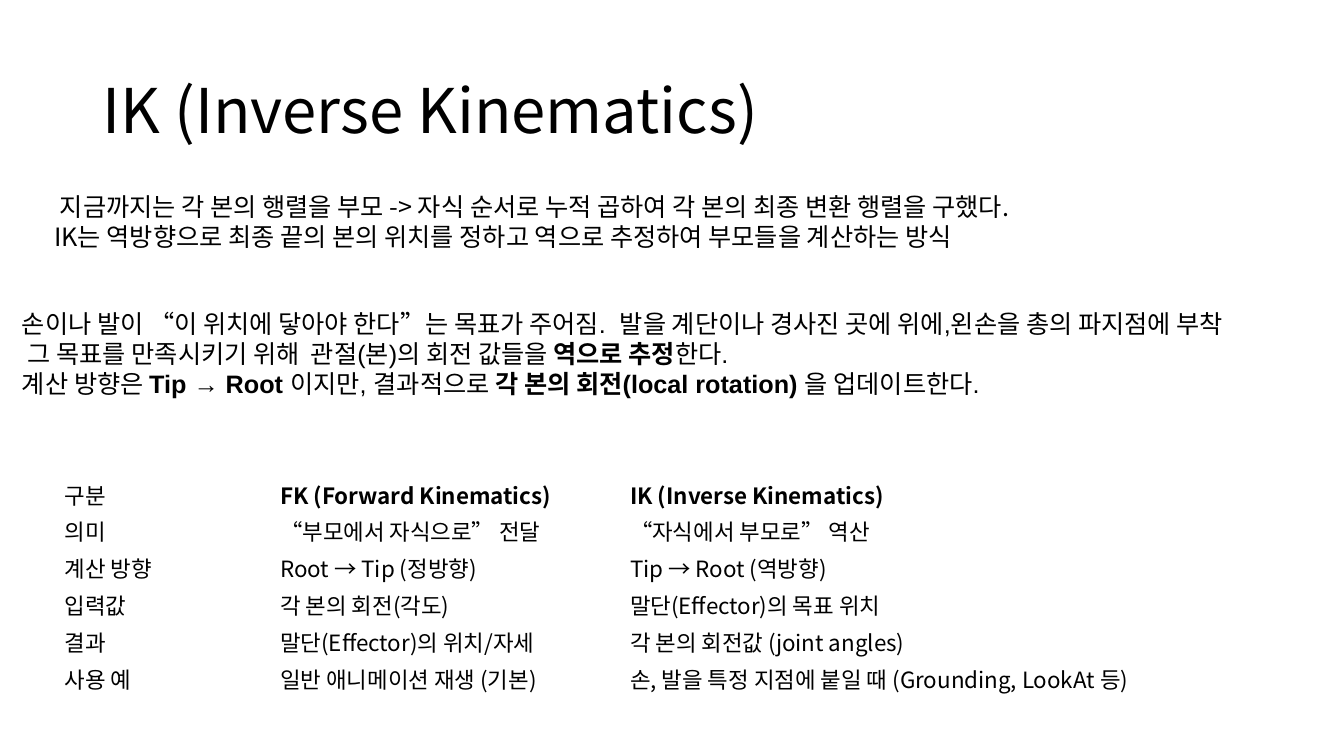
"""Build the slide that compares forward and inverse kinematics."""
from dataclasses import dataclass

from lxml.etree import SubElement
from pptx import Presentation
from pptx.dml.color import RGBColor
from pptx.enum.text import MSO_ANCHOR, MSO_AUTO_SIZE, PP_ALIGN
from pptx.oxml.ns import qn
from pptx.slide import Slide
from pptx.text.text import _Run
from pptx.util import Inches, Pt


@dataclass(frozen=True)
class Theme:
    ink: RGBColor = RGBColor(0, 0, 0)
    sans: str = "Noto Sans CJK KR"
    latin: str = "Arial"
    title: int = 44
    body: int = 18
    cell: int = 16


@dataclass(frozen=True)
class Piece:
    text: str
    bold: bool = False


@dataclass(frozen=True)
class Note:
    left: float
    top: float
    width: float
    height: float
    face: str
    wrap: bool
    anchor: MSO_ANCHOR
    lines: tuple[tuple[Piece, ...], ...]


THEME = Theme()

NOTES = (
    Note(0.44, 1.85, 10.97, 0.71, THEME.sans, False, MSO_ANCHOR.TOP, (
        (Piece(" 지금까지는 각 본의 행렬을 부모 -> 자식 순서로 누적 곱하여 각 본의 최종 변환 행렬을 구했다."),),
        (Piece("IK는 역방향으로 최종 끝의 본의 위치를 정하고 역으로 추정하여 부모들을 계산하는 방식"),),
    )),
    Note(0.12, 3, 13.1, 1.01, THEME.latin, True, MSO_ANCHOR.MIDDLE, (
        (Piece("손이나 발이 “이 위치에 닿아야 한다”는 목표가 주어짐.  발을 계단이나 경사진 곳에 위에,왼손을 총의 파지점에 부착"),),
        (Piece(" 그 목표를 만족시키기 위해  관절(본)의 회전 값들을 "), Piece("역으로 추정", True), Piece("한다.")),
        (Piece("계산 방향은 "), Piece("Tip → Root", True), Piece(" 이지만, 결과적으로 "),
         Piece("각 본의 회전(local rotation) ", True), Piece("을 업데이트한다.")),
    )),
)

WIDTHS = (2.14, 3.47, 6.26)
ROWS = (
    ("구분", "FK (Forward Kinematics)", "IK (Inverse Kinematics)"),
    ("의미", "“부모에서 자식으로” 전달", "“자식에서 부모로” 역산"),
    ("계산 방향", "Root → Tip (정방향)", "Tip → Root (역방향)"),
    ("입력값", "각 본의 회전(각도)", "말단(Effector)의 목표 위치"),
    ("결과", "말단(Effector)의 위치/자세", "각 본의 회전값 (joint angles)"),
    ("사용 예", "일반 애니메이션 재생 (기본)", "손, 발을 특정 지점에 붙일 때 (Grounding, LookAt 등)"),
)


def style(run: _Run, size: int, face: str = THEME.sans, bold: bool = False) -> None:
    font = run.font
    font.size = Pt(size)
    font.bold = bold
    font.color.rgb = THEME.ink
    font.name = face
    SubElement(run._r.get_or_add_rPr(), qn("a:ea")).set("typeface", THEME.sans)


def draw_title(slide: Slide, text: str) -> None:
    title = slide.shapes.title
    title.left, title.top = Inches(0.92), Inches(0.4)
    title.width, title.height = Inches(11.5), Inches(1.45)
    frame = title.text_frame
    frame.text = text
    frame.auto_size = MSO_AUTO_SIZE.NONE
    frame.vertical_anchor = MSO_ANCHOR.MIDDLE
    head = frame.paragraphs[0]
    head.alignment = PP_ALIGN.LEFT
    head.line_spacing = 0.9
    style(head.runs[0], THEME.title)


def draw_note(slide: Slide, note: Note) -> None:
    box = slide.shapes.add_textbox(Inches(note.left), Inches(note.top),
                                   Inches(note.width), Inches(note.height))
    frame = box.text_frame
    frame.word_wrap = note.wrap
    frame.auto_size = MSO_AUTO_SIZE.SHAPE_TO_FIT_TEXT
    frame.vertical_anchor = note.anchor
    frame.text = "\n".join("" for _ in note.lines)
    for para, line in zip(frame.paragraphs, note.lines):
        for piece in line:
            run = para.add_run()
            run.text = piece.text
            style(run, THEME.body, note.face, piece.bold)


def draw_table(slide: Slide) -> None:
    table = slide.shapes.add_table(len(ROWS), len(WIDTHS), Inches(0.54), Inches(4.72),
                                   Inches(sum(WIDTHS)), Inches(2.2)).table
    table.first_row = table.horz_banding = False
    for column, width in zip(table.columns, WIDTHS):
        column.width = Inches(width)
    for r, row in enumerate(ROWS):
        for c, text in enumerate(row):
            cell = table.cell(r, c)
            cell.fill.background()
            cell.margin_top = cell.margin_bottom = Inches(0.02)
            cell.vertical_anchor = MSO_ANCHOR.MIDDLE
            cell.text_frame.text = text
            style(cell.text_frame.paragraphs[0].runs[0], THEME.cell, bold=r == 0 and c > 0)


def main() -> None:
    deck = Presentation()
    deck.slide_width, deck.slide_height = Inches(13.33), Inches(7.5)
    slide = deck.slides.add_slide(deck.slide_layouts[5])
    draw_title(slide, "IK (Inverse Kinematics)")
    for note in NOTES:
        draw_note(slide, note)
    draw_table(slide)
    deck.save("out.pptx")


if __name__ == "__main__":
    main()
